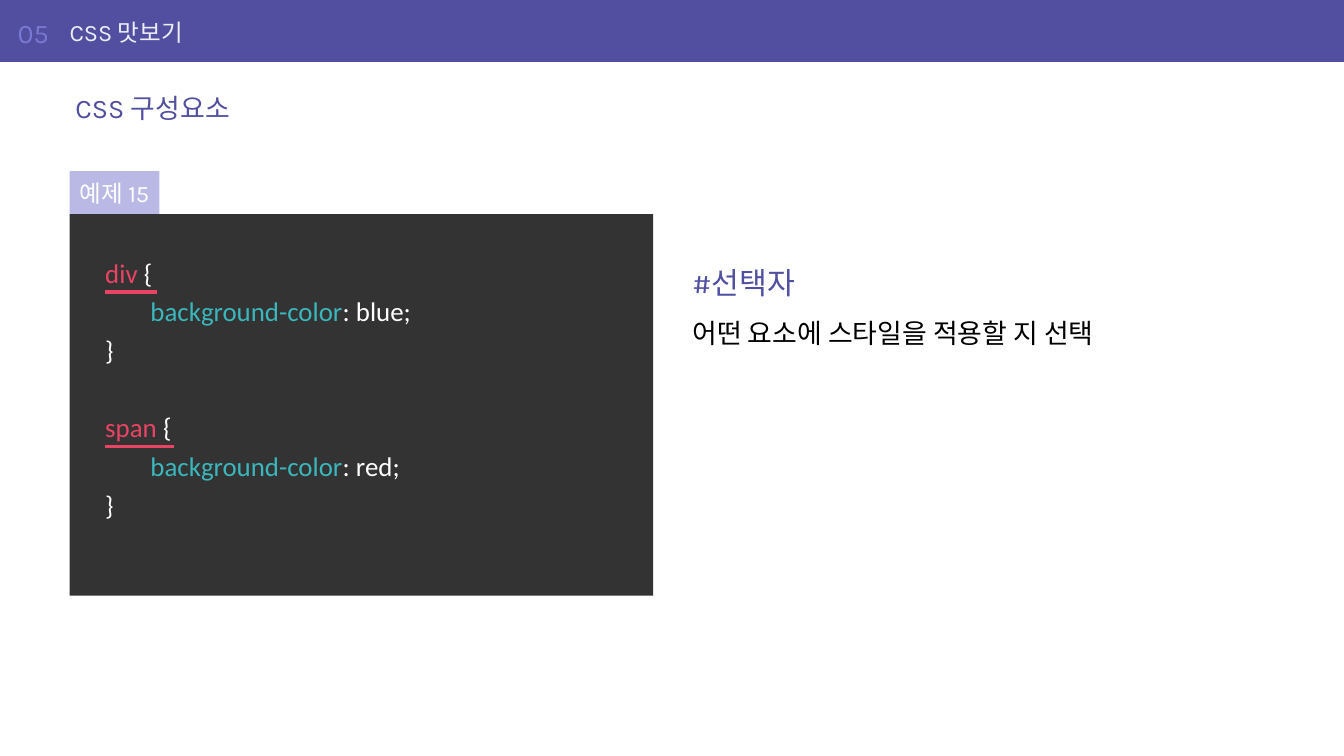
from dataclasses import dataclass

from lxml import etree
from pptx import Presentation
from pptx.dml.color import RGBColor
from pptx.enum.shapes import MSO_CONNECTOR, MSO_SHAPE
from pptx.enum.text import MSO_ANCHOR, PP_ALIGN
from pptx.oxml.ns import qn
from pptx.util import Cm, Pt

RECT = MSO_SHAPE.RECTANGLE
STRAIGHT = MSO_CONNECTOR.STRAIGHT
TOP, MIDDLE = MSO_ANCHOR.TOP, MSO_ANCHOR.MIDDLE
LEFT, CENTER = PP_ALIGN.LEFT, PP_ALIGN.CENTER


@dataclass(frozen=True)
class Theme:
    heading_font: str = "Karla"
    code_font: str = "Calibri"
    purple: str = "524FA1"
    note_purple: str = "504FA1"
    number: str = "7979D3"
    title: str = "ECEEF6"
    tag: str = "BAB9E6"
    panel: str = "333333"
    selector: str = "EA4464"
    prop: str = "3AB7BC"
    white: str = "FFFFFF"
    black: str = "000000"
    small: int = 28
    body: int = 32
    large: int = 36
    code_gap: int = 46
    underline: float = 4.5


theme = Theme()
deck = Presentation()
deck.slide_width, deck.slide_height = Cm(56.44), Cm(31.75)
slide = deck.slides.add_slide(deck.slide_layouts[6])


def add_block(left, top, width, height, fill=None, anchor=TOP, insets=(0.25, 0.13, 0.25, 0.13)):
    place = Cm(left), Cm(top), Cm(width), Cm(height)
    if fill:
        block = slide.shapes.add_shape(RECT, *place)
        block.shadow.inherit = False
        block.fill.solid()
        block.fill.fore_color.rgb = RGBColor.from_string(fill)
        block.line.fill.background()
    else:
        block = slide.shapes.add_textbox(*place)
    frame = block.text_frame
    frame.word_wrap = True
    frame.vertical_anchor = anchor
    frame.margin_left, frame.margin_top, frame.margin_right, frame.margin_bottom = map(Cm, insets)
    return frame


def write(paragraph, runs, size, font=theme.heading_font, spacing=1.0, align=LEFT):
    paragraph.alignment = align
    paragraph.line_spacing = spacing
    for text, color in runs:
        run = paragraph.add_run()
        run.text = text
        run.font.name = font
        run.font.size = Pt(size)
        run.font.color.rgb = RGBColor.from_string(color)


margin = 2.92
header_insets = (0, 0.13, 0.25, 0.13)

add_block(0, 0, 56.44, 2.6, theme.purple)

chapter_number = add_block(0.74, 0.38, 2.21, 1.96, anchor=MIDDLE, insets=header_insets)
write(chapter_number.paragraphs[0], [("05", theme.number)], theme.body)

chapter_title = add_block(margin, 0.38, 47.7, 1.96, anchor=MIDDLE, insets=header_insets)
write(chapter_title.paragraphs[0], [("CSS 맛보기", theme.title)], theme.small)

section_title = add_block(margin, 3.56, 50.6, 1.96, anchor=MIDDLE)
write(section_title.paragraphs[0], [("CSS 구성요소", theme.purple)], theme.body)

example_tag = add_block(margin, 7.19, 3.78, 1.8, theme.tag, MIDDLE, (0.25, 0.3, 0.25, 0.3))
write(example_tag.paragraphs[0], [("예제 15", theme.white)], theme.small, align=CENTER)

code = add_block(margin, 8.99, 24.51, 16.03, theme.panel, insets=(1.5, 1.5, 1.5, 1.5))
rules = [("div", "blue", 2.2), ("span", "red", 2.9)]
for index, (selector, value, underline_width) in enumerate(rules):
    opening = code.add_paragraph() if index else code.paragraphs[0]
    if index:
        opening.space_before = Pt(theme.code_gap)
    declaration, closing = code.add_paragraph(), code.add_paragraph()
    declaration_format = declaration._p.get_or_add_pPr()
    declaration_format.set("marL", str(Cm(1.9)))
    declaration_format.set("indent", "0")
    code_lines = [
        (opening, [(selector, theme.selector), (" {", theme.white)]),
        (declaration, [("background-color", theme.prop), (f": {value};", theme.white)]),
        (closing, [("}", theme.white)]),
    ]
    for paragraph, runs in code_lines:
        write(paragraph, runs, theme.body, theme.code_font, 1.2)

    y = Cm(12.27 + 6.48 * index)
    underline = slide.shapes.add_connector(STRAIGHT, Cm(4.4), y, Cm(4.4 + underline_width), y)
    underline.line.color.rgb = RGBColor.from_string(theme.selector)
    underline.line.width = Pt(theme.underline)
    etree.SubElement(underline._element.spPr, qn("a:effectLst"))

note = add_block(28.83, 10.21, 24.69, 5)
write(note.paragraphs[0], [("#선택자", theme.note_purple)], theme.large, spacing=1.5)
write(note.add_paragraph(), [("어떤 요소에 스타일을 적용할 지 선택", theme.black)], theme.body, spacing=1.5)

deck.save("out.pptx")
